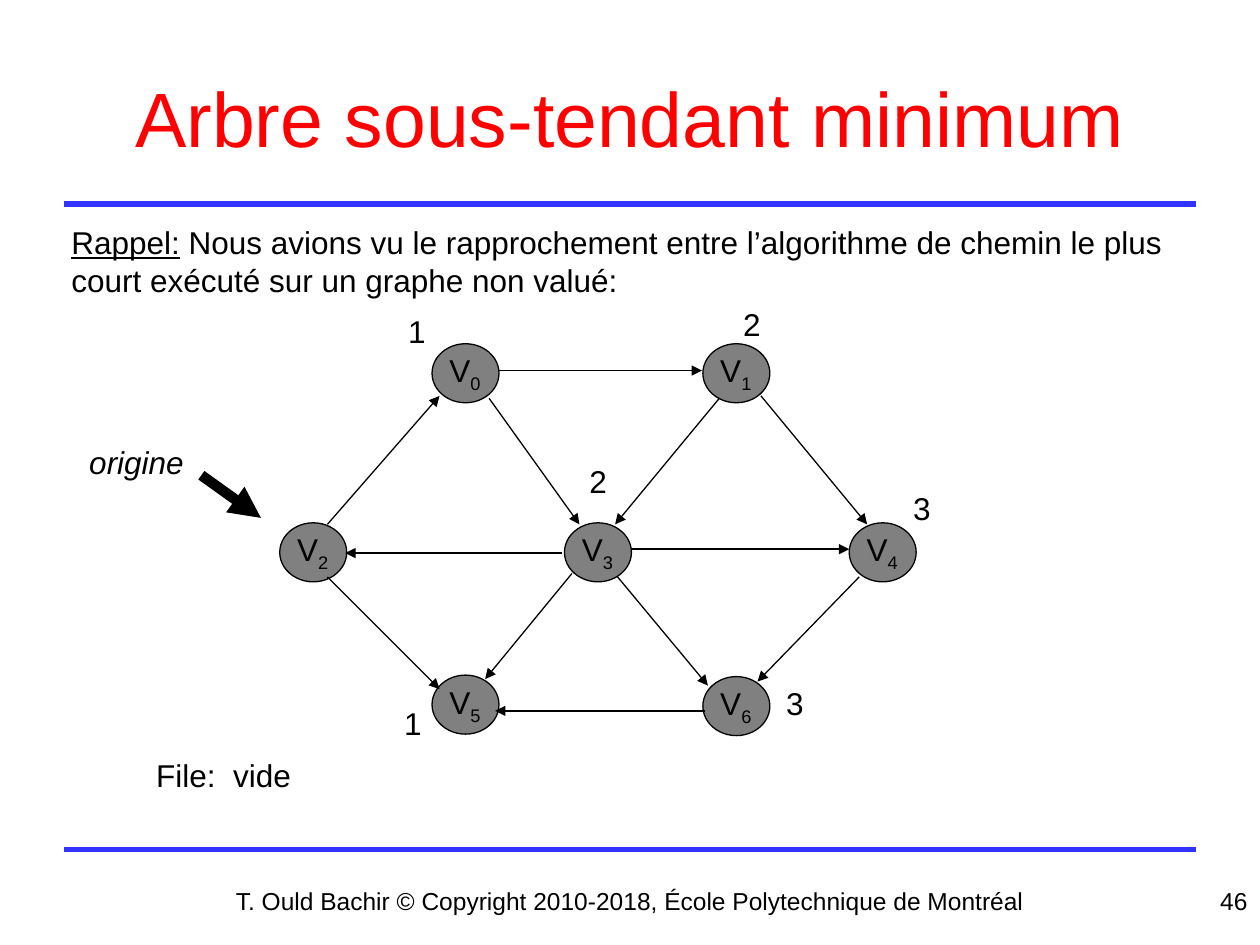
import pptx
import pptx.util
import pptx.dml.color
import pptx.enum.shapes
import pptx.enum.text
import pptx.oxml.ns
from lxml import etree
from pptx.util import Cm, Pt

ALIGN = pptx.enum.text.PP_ALIGN
ANCHOR = pptx.enum.text.MSO_ANCHOR
AUTOFIT = pptx.enum.text.MSO_AUTO_SIZE

# Content (positions and sizes in cm)
TITLE = "Arbre sous-tendant minimum"
REMINDER = [
    ("Rappel:", {"underline": True}),
    (" Nous avions vu le rapprochement entre l’algorithme de chemin le plus "
     "court exécuté sur un graphe non valué:", {}),
]
FOOTER = "T. Ould Bachir © Copyright 2010-2018, École Polytechnique de Montréal"
PAGE_NUMBER = "46"

NODE_SIZE = (1.35, 1.19)
NODES = [  # index, left, top
    ("0", 8.71, 6.93), ("1", 14.17, 6.93),
    ("3", 11.38, 10.54), ("2", 5.64, 10.54),
    ("5", 8.71, 13.61), ("6", 14.17, 13.64), ("4", 17.12, 10.54),
]
EDGES = [  # start x, start y, end x, end y, of each arc
    (10.06, 7.47, 14.15, 7.47),    # V0 to V1
    (15.34, 7.98, 17.48, 10.57),   # V1 to V4
    (17.32, 11.63, 15.27, 13.74),  # V4 to V6
    (14.22, 14.33, 9.98, 14.33),   # V6 to V5
    (6.6, 11.63, 8.86, 13.89),     # V2 to V5
    (6.6, 10.57, 8.86, 7.98),      # V2 to V0
    (9.86, 8.03, 11.68, 10.57),    # V0 to V3
    (12.45, 11.63, 14.27, 13.82),  # V3 to V6
    (14.5, 8.03, 12.4, 10.57),     # V1 to V3
    (11.53, 11.56, 9.78, 13.69),   # V3 to V5
    (12.73, 11.07, 17.12, 11.07),  # V3 to V4
    (11.33, 11.15, 6.96, 11.15),   # V3 to V2
]
ORIGIN_ARROW = (4.06, 9.58, 5.26, 10.44)
DISTANCES = [  # distance from the origin, left, top
    ("1", 7.98, 6.17), ("1", 7.9, 14.07), ("2", 14.73, 6.02),
    ("2", 11.63, 9.19), ("3", 18.16, 9.73), ("3", 15.6, 13.67),
]
RULE_TOPS = (17.12, 4.11)


def colour(code):
    return pptx.dml.color.RGBColor.from_string(code)


def apply(target, values):
    for name, value in values.items():
        setattr(target, name, value)


def write(para, spans, size=18, code="000000"):
    for text, extra in spans:
        extra = dict(extra)
        baseline = extra.pop("baseline", None)
        span = para.add_run()
        span.text = text
        apply(span.font, {"name": "Arial", "size": Pt(size), **extra})
        span.font.color.rgb = colour(code)
        if baseline:
            span._r.get_or_add_rPr().set("baseline", baseline)


def add_text(page, spans, place, size=18, align=ALIGN.LEFT, wrap=False, grow=True):
    box = page.shapes.add_textbox(*map(Cm, place))
    apply(box.text_frame, {
        "word_wrap": wrap,
        "auto_size": AUTOFIT.SHAPE_TO_FIT_TEXT if grow else AUTOFIT.NONE,
    })
    para = box.text_frame.paragraphs[0]
    para.alignment = align
    write(para, spans, size)


def add_line(page, ends, code="000000", width=0.75, arrow=True):
    line = page.shapes.add_connector(
        pptx.enum.shapes.MSO_CONNECTOR.STRAIGHT, *map(Cm, ends))
    line.line.color.rgb = colour(code)
    line.line.width = Pt(width)
    qn = pptx.oxml.ns.qn
    if arrow:
        etree.SubElement(line.line._get_or_add_ln(), qn("a:tailEnd"), type="triangle")
    etree.SubElement(line._element.spPr, qn("a:effectLst"))


def add_node(page, index, left, top):
    node = page.shapes.add_shape(
        pptx.enum.shapes.MSO_SHAPE.OVAL, *map(Cm, (left, top, *NODE_SIZE)))
    node.shadow.inherit = False
    node.fill.solid()
    node.fill.fore_color.rgb = colour("808080")
    node.line.color.rgb = colour("000000")
    node.line.width = Pt(0.75)
    add_text(page, [("V", {}), (index, {"baseline": "-25000"})],
             (left + 0.1, top + 0.03, 1.17, 1.02))


def main():
    deck = pptx.Presentation()
    apply(deck, {"slide_width": Cm(25.4), "slide_height": Cm(19.05)})
    page = deck.slides.add_slide(deck.slide_layouts[5])

    # Title
    title = page.shapes.title
    apply(title, {"left": Cm(1.27), "top": Cm(0.76),
                  "width": Cm(22.86), "height": Cm(3.18)})
    title.text_frame.vertical_anchor = ANCHOR.MIDDLE
    para = title.text_frame.paragraphs[0]
    para.alignment = ALIGN.CENTER
    write(para, [(TITLE, {})], 44, "FF0000")

    # Rules and footer
    for top in RULE_TOPS:
        add_line(page, (1.3, top, 24.1, top), "3333FF", 3, arrow=False)
    add_text(page, [(FOOTER, {})], (0, 17.73, 25.4, 1.32), 14,
             ALIGN.CENTER, wrap=True, grow=False)
    add_text(page, [(PAGE_NUMBER, {})], (19.48, 17.73, 5.92, 1.32), 14,
             ALIGN.RIGHT, wrap=True, grow=False)

    # Graph
    for node in NODES:
        add_node(page, *node)
    for number, edge in enumerate(EDGES):
        add_line(page, edge, width=0.75 if number else 1)
    add_line(page, ORIGIN_ARROW, width=6)

    # Labels and text
    add_text(page, [("origine", {"italic": True})], (1.55, 8.81, 2.41, 1.02))
    for text, left, top in DISTANCES:
        add_text(page, [(text, {})], (left, top, 0.86, 1.02))
    add_text(page, [("File:  vide", {})], (2.9, 15.11, 6.65, 1.02), wrap=True)
    add_text(page, REMINDER, (1.19, 4.37, 22.89, 1.8), wrap=True)

    deck.save("out.pptx")


if __name__ == "__main__":
    main()
